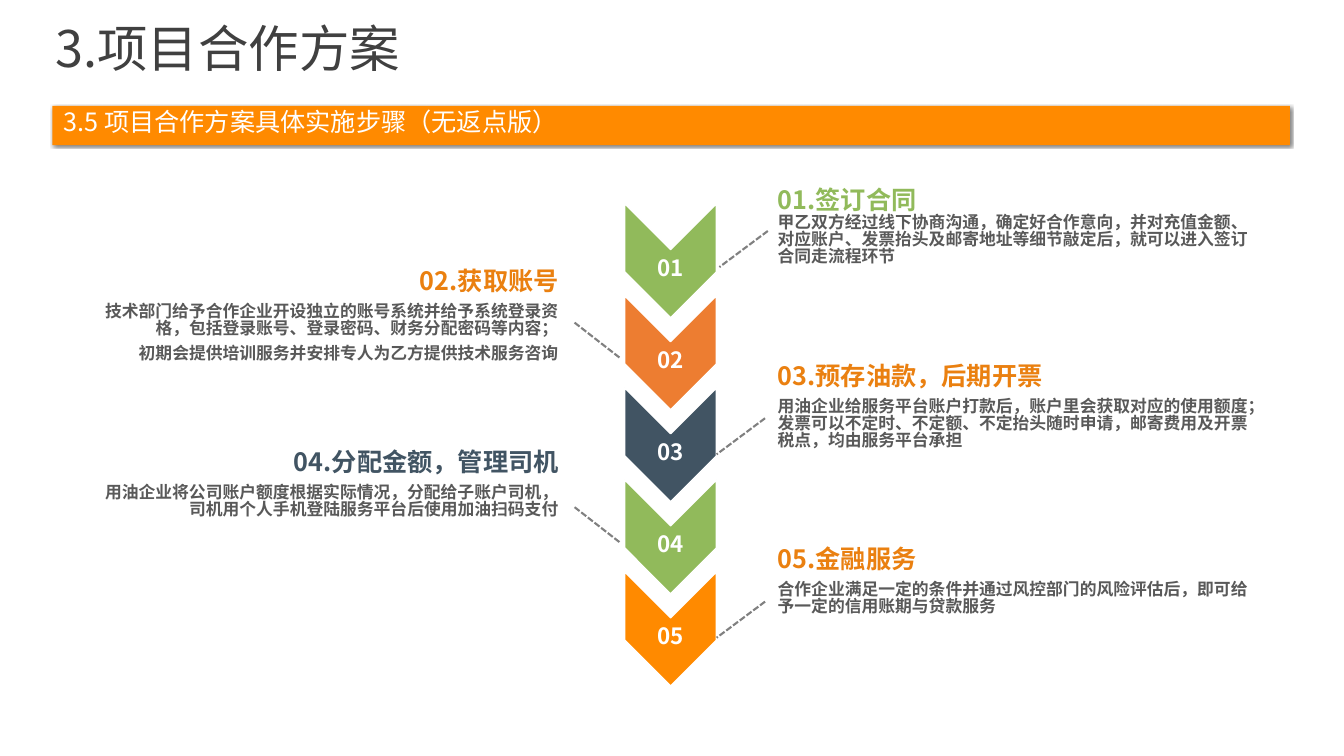
from dataclasses import dataclass

from lxml import etree
from pptx import Presentation
from pptx.dml.color import RGBColor
from pptx.enum.dml import MSO_LINE
from pptx.enum.shapes import MSO_CONNECTOR, MSO_SHAPE
from pptx.enum.text import MSO_ANCHOR, MSO_AUTO_SIZE, PP_ALIGN
from pptx.oxml.ns import qn
from pptx.util import Cm, Pt

LEFT, CENTER, RIGHT = PP_ALIGN.LEFT, PP_ALIGN.CENTER, PP_ALIGN.RIGHT
TOP = MSO_ANCHOR.TOP
NO_AUTOFIT = MSO_AUTO_SIZE.NONE
CHEVRON, RECTANGLE = MSO_SHAPE.CHEVRON, MSO_SHAPE.RECTANGLE
STRAIGHT = MSO_CONNECTOR.STRAIGHT
DASH = MSO_LINE.SQUARE_DOT


@dataclass(frozen=True)
class Theme:
    font: str = "Noto Sans CJK SC"
    white: str = "FFFFFF"
    title: str = "404040"
    body: str = "595959"
    leader: str = "808080"
    shadow: str = "000000"
    amber: str = "FF8A00"
    orange: str = "ED7D31"
    heading_orange: str = "EA8010"
    green: str = "91BA5B"
    slate: str = "415463"
    title_size: int = 36
    heading_size: int = 18
    number_size: int = 16
    body_size: int = 12
    line_spacing: float = 0.84
    title_spacing: float = 0.67


theme = Theme()


def prepare_frame(shape, inset_x=0.25, inset_y=0.13):
    """Set wrapping, anchor and insets (in cm), and return the text frame."""
    frame = shape.text_frame
    frame.word_wrap = True
    frame.auto_size = NO_AUTOFIT
    frame.vertical_anchor = TOP
    frame.margin_left = frame.margin_right = Cm(inset_x)
    frame.margin_top = frame.margin_bottom = Cm(inset_y)
    return frame


def write(paragraph, text, size, color, bold=False, align=LEFT, after=0,
          spacing=theme.line_spacing):
    """Format a paragraph and add its text as one run."""
    paragraph.alignment = align
    paragraph.line_spacing = spacing
    paragraph.space_before = Pt(0)
    paragraph.space_after = Pt(after)
    run = paragraph.add_run()
    run.text = text
    run.font.size = Pt(size)
    run.font.bold = bold
    run.font.color.rgb = RGBColor.from_string(color)
    run.font.name = theme.font
    latin = run.font._element.find(qn("a:latin"))
    east_asian = etree.Element(qn("a:ea"), typeface=theme.font)
    latin.addnext(east_asian)


presentation = Presentation()
presentation.slide_width, presentation.slide_height = Cm(33.87), Cm(19.05)
slide = presentation.slides.add_slide(presentation.slide_layouts[5])
shapes = slide.shapes

# Title and section bar
title = shapes.title
title.left, title.top, title.width, title.height = Cm(1.4), Cm(0.89), Cm(31.14), Cm(1.27)
write(prepare_frame(title, 0, 0).paragraphs[0], "3.项目合作方案",
      theme.title_size, theme.title, spacing=theme.title_spacing)

bar = shapes.add_shape(RECTANGLE, Cm(1.32), Cm(2.67), Cm(31.19), Cm(0.99))
bar.shadow.inherit = False
bar.fill.solid()
bar.fill.fore_color.rgb = RGBColor.from_string(theme.amber)
bar.line.fill.background()
effects = bar._element.spPr.find(qn("a:effectLst"))
shadow = etree.SubElement(effects, qn("a:outerShdw"), blurRad=str(Pt(2)),
                          dist=str(Pt(1)), dir="2700000", algn="ctr")
shadow_color = etree.SubElement(shadow, qn("a:srgbClr"), val=theme.shadow)
etree.SubElement(shadow_color, qn("a:alpha"), val="50000")

section = shapes.add_textbox(Cm(1.6), Cm(2.79), Cm(29.69), Cm(0.81))
write(prepare_frame(section, 0, 0).paragraphs[0],
      "3.5 项目合作方案具体实施步骤（无返点版）", theme.heading_size, theme.white)

# Steps: chevron colour, heading colour, heading, body, text top, text height,
# space after, leader start
steps = [
    (theme.green, theme.green, "签订合同",
     ["甲乙双方经过线下协商沟通，确定好合作意向，并对充值金额、对应账户、"
      "发票抬头及邮寄地址等细节敲定后，就可以进入签订合同走流程环节"],
     4.65, 2.59, 0, (19.35, 5.82)),
    (theme.orange, theme.heading_orange, "获取账号",
     ["技术部门给予合作企业开设独立的账号系统并给予系统登录资格，"
      "包括登录账号、登录密码、财务分配密码等内容；",
      "初期会提供培训服务并安排专人为乙方提供技术服务咨询"],
     6.68, 3.02, 6, (14.48, 8.13)),
    (theme.slate, theme.heading_orange, "预存油款，后期开票",
     ["用油企业给服务平台账户打款后，账户里会获取对应的使用额度；"
      "发票可以不定时、不定额、不定抬头随时申请，"
      "邮寄费用及开票税点，均由服务平台承担"],
     9.07, 3.53, 6, (19.28, 10.54)),
    (theme.green, theme.slate, "分配金额，管理司机",
     ["用油企业将公司账户额度根据实际情况，分配给子账户司机，"
      "司机用个人手机登陆服务平台后使用加油扫码支付"],
     11.25, 3.02, 6, (14.48, 12.78)),
    (theme.amber, theme.heading_orange, "金融服务",
     ["合作企业满足一定的条件并通过风控部门的风险评估后，"
      "即可给予一定的信用账期与贷款服务"],
     13.69, 2.29, 6, (19.28, 15.16)),
]

CENTER_X, FIRST_CENTER_Y, PITCH = 16.9, 6.57, 2.32
CHEVRON_LENGTH, CHEVRON_WIDTH = 2.87, 2.31
NUMBER_WIDTH, NUMBER_HEIGHT = 2.29, 0.99

for index, (color, heading_color, heading, body, top, height, after, start) in enumerate(steps):
    number = f"{index + 1:02d}"
    on_right = index % 2 == 0
    center_y = FIRST_CENTER_Y + index * PITCH

    chevron = shapes.add_shape(CHEVRON, Cm(CENTER_X - CHEVRON_LENGTH / 2),
                               Cm(center_y - CHEVRON_WIDTH / 2),
                               Cm(CHEVRON_LENGTH), Cm(CHEVRON_WIDTH))
    chevron.rotation = 90
    chevron.shadow.inherit = False
    chevron.fill.solid()
    chevron.fill.fore_color.rgb = RGBColor.from_string(color)
    chevron.line.color.rgb = RGBColor.from_string(theme.white)
    chevron.line.width = Pt(1)

    label = shapes.add_textbox(Cm(CENTER_X - NUMBER_WIDTH / 2), Cm(center_y - 0.19),
                               Cm(NUMBER_WIDTH), Cm(NUMBER_HEIGHT))
    write(prepare_frame(label).paragraphs[0], number, theme.number_size,
          theme.white, bold=True, align=CENTER)

    start_x, start_y = start
    end_x = start_x - 1.22 if on_right else start_x + 1.17
    leader = shapes.add_connector(STRAIGHT, Cm(start_x), Cm(start_y),
                                  Cm(end_x), Cm(start_y + 0.91))
    leader.line.color.rgb = RGBColor.from_string(theme.leader)
    leader.line.width = Pt(1.5)
    leader.line.dash_style = DASH
    etree.SubElement(leader._element.spPr, qn("a:effectLst"))

    text_left, text_width, align = (19.35, 12.52, LEFT) if on_right else (2.29, 12.04, RIGHT)
    description = shapes.add_textbox(Cm(text_left), Cm(top), Cm(text_width), Cm(height))
    frame = prepare_frame(description)
    write(frame.paragraphs[0], f"{number}.{heading}", theme.heading_size,
          heading_color, bold=True, align=align, after=after)
    for sentence in body:
        write(frame.add_paragraph(), sentence, theme.body_size, theme.body,
              bold=True, align=align, after=after)

presentation.save("out.pptx")
